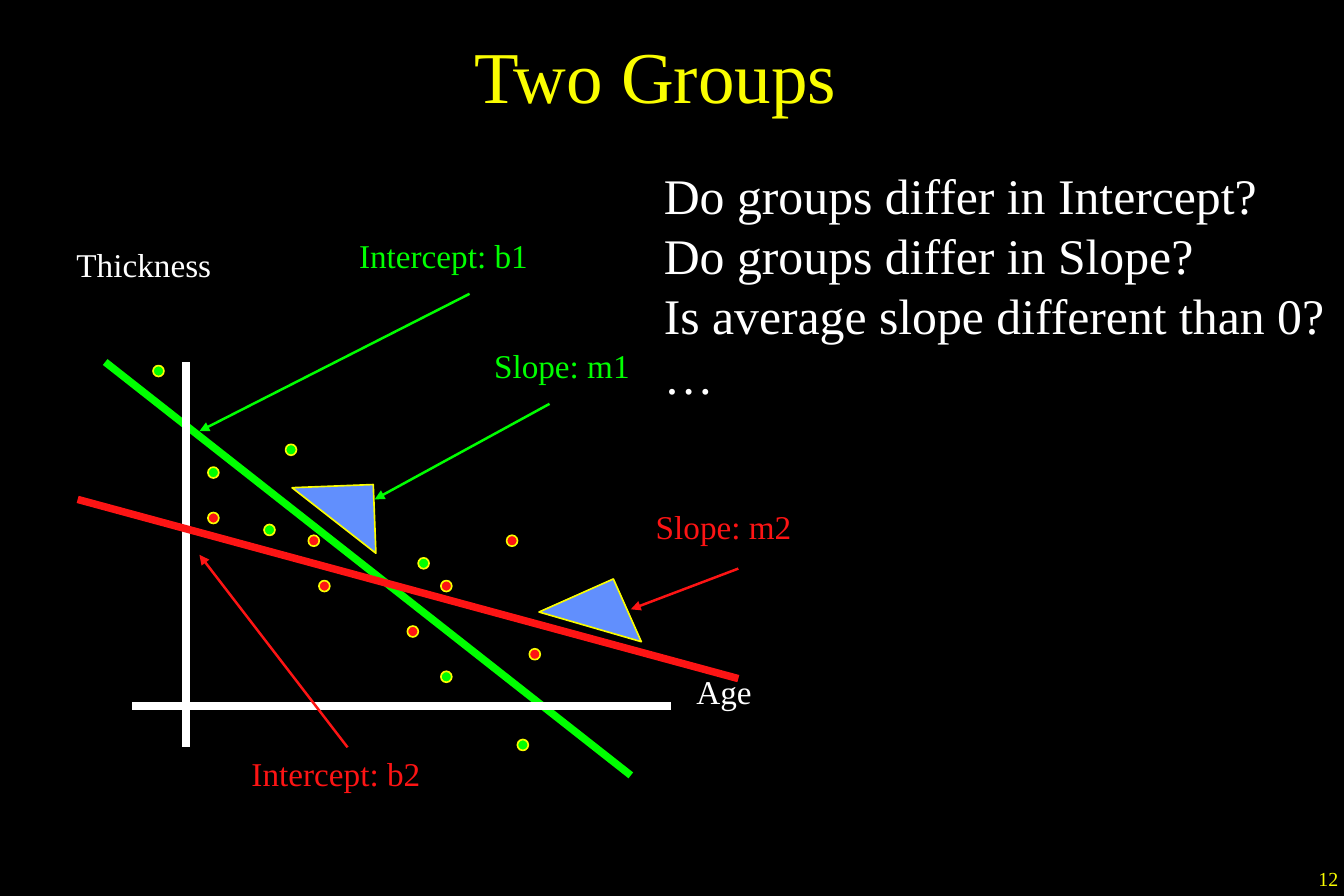
from lxml import etree
from pptx import Presentation
from pptx.dml.color import RGBColor
from pptx.enum.shapes import MSO_CONNECTOR, MSO_SHAPE
from pptx.enum.text import MSO_ANCHOR, PP_ALIGN
from pptx.oxml.ns import qn
from pptx.util import Pt

STRAIGHT = MSO_CONNECTOR.STRAIGHT
OVAL = MSO_SHAPE.OVAL
RIGHT_TRIANGLE = MSO_SHAPE.RIGHT_TRIANGLE
TOP, MIDDLE = MSO_ANCHOR.TOP, MSO_ANCHOR.MIDDLE
LEFT, CENTER = PP_ALIGN.LEFT, PP_ALIGN.CENTER

BLACK = RGBColor(0x00, 0x00, 0x00)
WHITE = RGBColor(0xFF, 0xFF, 0xFF)
YELLOW = RGBColor(0xFA, 0xFD, 0x00)
GREEN = RGBColor(0x00, 0xFF, 0x00)
RED = RGBColor(0xFD, 0x14, 0x14)
BLUE = RGBColor(0x61, 0x8F, 0xFD)

GREEN_DOTS = [(92.2, 220.3), (125.3, 281.5), (172.1, 267.8), (159.1, 316.1),
              (252, 336.2), (265.7, 404.6), (311.8, 445.7)]
RED_DOTS = [(125.3, 308.9), (192.2, 349.9), (185.8, 322.6), (265.7, 349.9),
            (245.5, 377.3), (305.3, 322.6), (319, 391)]


class SlideBuilder:
    font_name = "Times New Roman"
    thick, thin, outline = 4.5, 1.5, 1
    dot_size = 6.6

    def __init__(self, slide):
        self.slide = slide
        fill = slide.background.fill
        fill.solid()
        fill.fore_color.rgb = BLACK

    def text(self, text, left, top, width, height, size=20, color=WHITE,
             align=LEFT, anchor=TOP):
        box = self.slide.shapes.add_textbox(Pt(left), Pt(top), Pt(width), Pt(height))
        frame = box.text_frame
        frame.word_wrap = True
        frame.vertical_anchor = anchor
        frame.text = text
        for paragraph in frame.paragraphs:
            paragraph.alignment = align
            paragraph.font.name = self.font_name
            paragraph.font.size = Pt(size)
            paragraph.font.color.rgb = color

    def label(self, text, left, top, width, color=WHITE):
        self.text(text, left, top, width, 31.7, color=color)

    def line(self, start, end, color, width=thick):
        points = [Pt(value) for value in (*start, *end)]
        connector = self.slide.shapes.add_connector(STRAIGHT, *points)
        connector.line.color.rgb = color
        connector.line.width = Pt(width)
        etree.SubElement(connector.element.spPr, qn("a:effectLst"))
        return connector

    def arrow(self, start, tip, color):
        connector = self.line(start, tip, color, self.thin)
        outline = connector.element.spPr.find(qn("a:ln"))
        etree.SubElement(outline, qn("a:tailEnd"), type="triangle")

    def shape(self, kind, left, top, width, height, color, rotation=0):
        shape = self.slide.shapes.add_shape(kind, Pt(left), Pt(top), Pt(width), Pt(height))
        shape.shadow.inherit = False
        shape.rotation = rotation
        shape.fill.solid()
        shape.fill.fore_color.rgb = color
        shape.line.color.rgb = YELLOW
        shape.line.width = Pt(self.outline)

    def slope_triangle(self, left, top, rotation):
        self.shape(RIGHT_TRIANGLE, left, top, 49, 41.4, BLUE, rotation)

    def dots(self, positions, color):
        for left, top in positions:
            self.shape(OVAL, left, top, self.dot_size, self.dot_size, color)


def main():
    presentation = Presentation()
    presentation.slide_width = Pt(810)
    presentation.slide_height = Pt(540)
    builder = SlideBuilder(presentation.slides.add_slide(presentation.slide_layouts[6]))

    builder.text("12", 787.5, 518.8, 45.4, 21.6, size=12, color=YELLOW)
    builder.text("Two Groups", 50.8, 0, 688.3, 90, size=44, color=YELLOW,
                 align=CENTER, anchor=MIDDLE)
    builder.text("Do groups differ in Intercept?\nDo groups differ in Slope?",
                 393, 96, 424.8, 79.2, size=30)
    builder.text("Is average slope different than 0?\n…",
                 393, 168, 424.8, 79.2, size=30)

    builder.line((63.4, 218.2), (380.2, 467.3), GREEN)
    builder.arrow((283, 177.1), (120.2, 259.9), GREEN)
    builder.slope_triangle(176.8, 293, 177.8)
    builder.label("Intercept: b1", 209.3, 138.2, 130, GREEN)
    builder.label("Slope: m1", 290.7, 204.5, 110, GREEN)

    builder.label("Thickness", 39, 144, 110)
    builder.label("Age", 412.6, 401, 60)
    builder.line((112, 218.2), (112, 450.4), WHITE)
    builder.line((79.6, 425.5), (404.6, 425.5), WHITE)
    builder.arrow((331.2, 243.4), (225.8, 301), GREEN)

    builder.line((46.8, 301), (445, 409), RED)
    builder.label("Intercept: b2", 144.5, 450.7, 130, RED)
    builder.label("Slope: m2", 388.1, 301.4, 110, RED)
    builder.slope_triangle(331.2, 357.1, 156)
    builder.arrow((445, 342.7), (380.2, 367.2), RED)
    builder.arrow((209.5, 450.4), (120.2, 334.4), RED)

    builder.dots(RED_DOTS, RED)
    builder.dots(GREEN_DOTS, GREEN)
    presentation.save("out.pptx")


if __name__ == "__main__":
    main()
